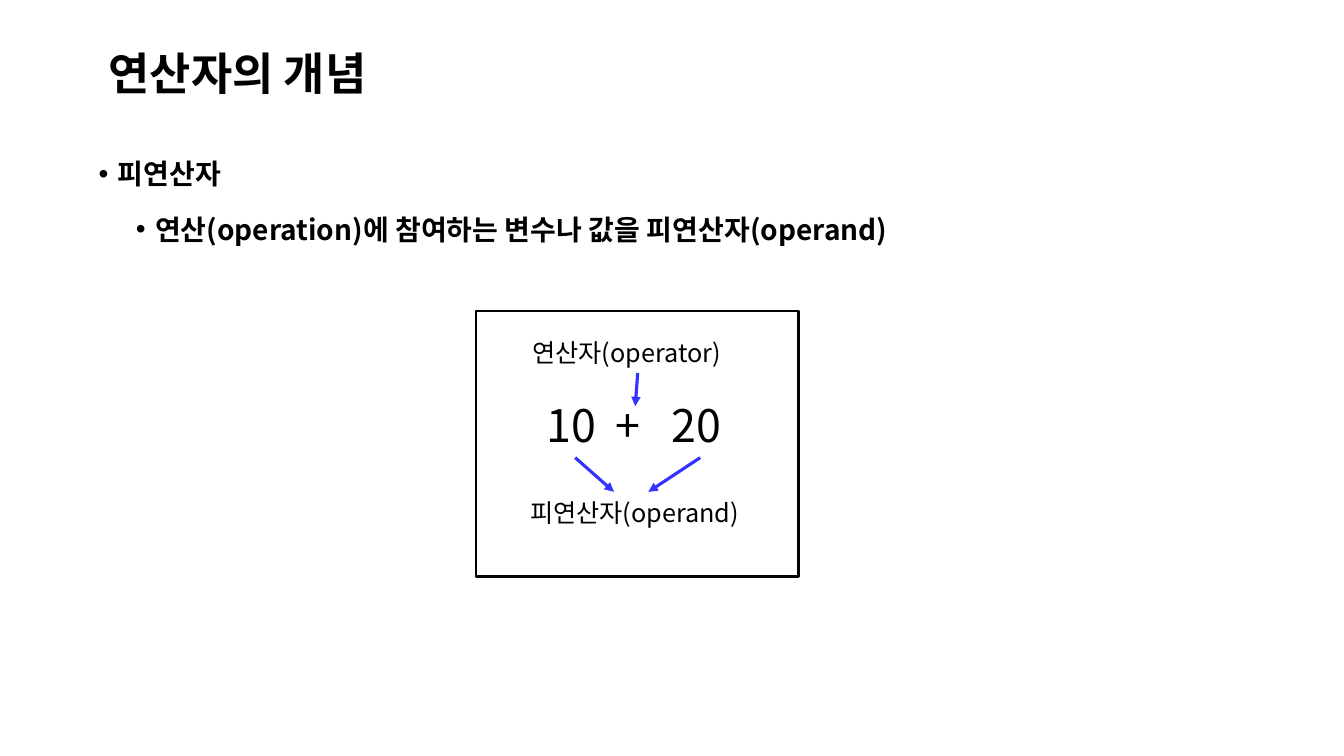
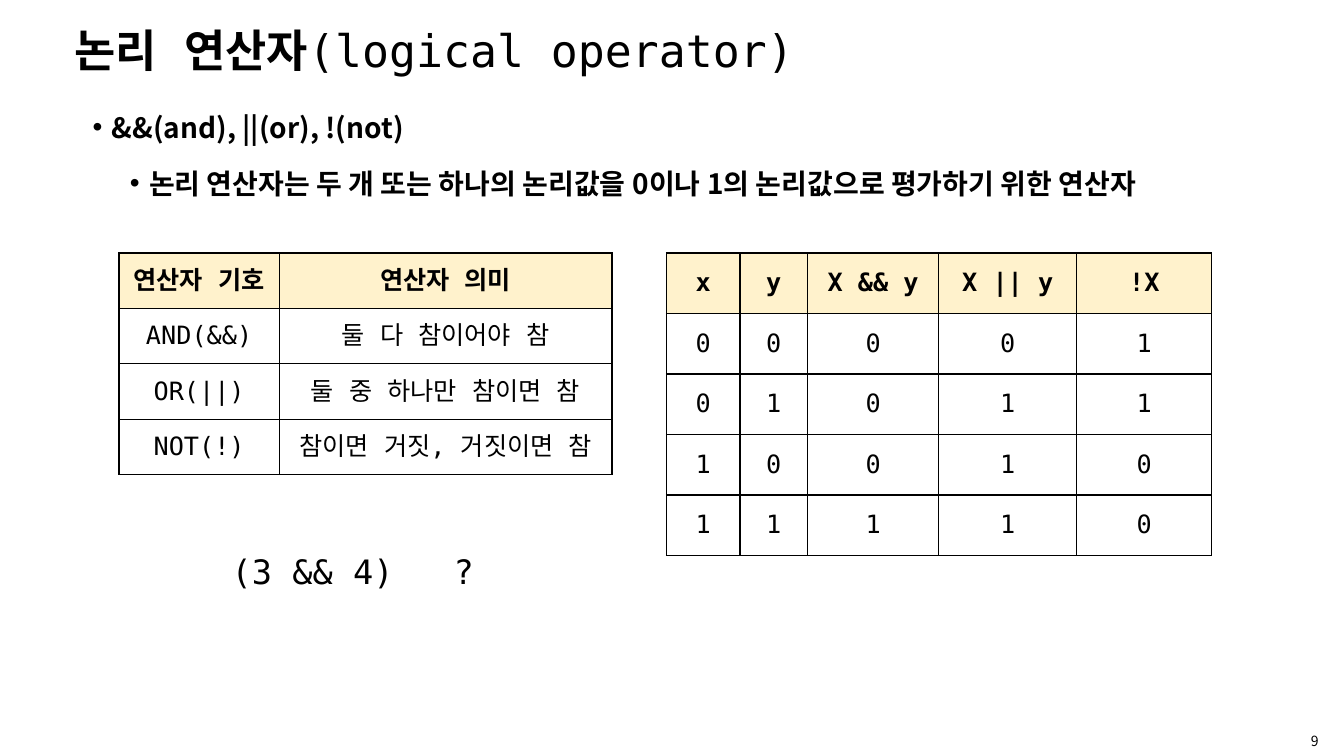
from dataclasses import dataclass

from lxml import etree
from pptx import Presentation
from pptx import util as u
from pptx.dml.color import RGBColor
from pptx.enum import shapes, text
from pptx.oxml import ns

BLACK = RGBColor(0x00, 0x00, 0x00)
ARROW_BLUE = RGBColor(0x33, 0x33, 0xFF)
HEADER_CREAM = RGBColor(0xFF, 0xF2, 0xCC)
SANS = "Noto Sans CJK KR"
SANS_TITLE = "Noto Sans CJK TC"
MONO = "DejaVu Sans Mono"
BULLET_HANGING = 0.19
BULLET_INDENTS = (0.19, 0.56)


@dataclass(frozen=True)
class Box:
    left: float
    top: float
    width: float
    height: float

    def lengths(self) -> list:
        return [u.Inches(v) for v in (self.left, self.top, self.width, self.height)]


@dataclass(frozen=True)
class Label:
    words: str
    box: Box
    size: int


@dataclass(frozen=True)
class Arrow:
    source: str
    end_x: float
    end_y: float


@dataclass(frozen=True)
class Grid:
    left: float
    top: float
    column_widths: tuple
    row_height: float
    rows: tuple


LABELS = (
    Label("10", Box(5.32, 3.9, 0.77, 0.64), 32),
    Label("20", Box(6.56, 3.9, 0.77, 0.64), 32),
    Label("+", Box(6.01, 3.9, 0.59, 0.64), 32),
    Label("피연산자(operand)", Box(5.16, 4.88, 2.53, 0.4), 18),
    Label("연산자(operator)", Box(5.18, 3.3, 2.29, 0.4), 18),
)
ARROWS = (
    Arrow("연산자(operator)", 6.3, 4.03),
    Arrow("10", 6.09, 4.88),
    Arrow("20", 6.43, 4.88),
)
MEANINGS = Grid(1.18, 2.51, (1.59, 3.3), 0.55, (
    ("연산자 기호", "연산자 의미"),
    ("AND(&&)", "둘 다 참이어야 참"),
    ("OR(||)", "둘 중 하나만 참이면 참"),
    ("NOT(!)", "참이면 거짓, 거짓이면 참"),
))
TRUTH_TABLE = Grid(6.61, 2.51, (0.73, 0.67, 1.3, 1.37, 1.34), 0.6, (
    ("x", "y", "X && y", "X || y", "!X"),
    *(tuple(str(int(value)) for value in (x, y, x and y, x or y, not x))
      for x in (0, 1) for y in (0, 1)),
))


def add_element(parent, tag: str, **attributes: str):
    return etree.SubElement(parent, ns.qn(tag), attributes)


def style_paragraph(paragraph, size: int, name: str = SANS, bold: bool | None = False) -> None:
    font = paragraph.font
    font.size = u.Pt(size)
    font.bold = bold
    font.color.rgb = BLACK
    font.name = name
    properties = paragraph._p.get_or_add_pPr().find(ns.qn("a:defRPr"))
    add_element(properties, "a:ea", typeface=name)


def add_text_box(slide, box: Box, wrap: bool = True):
    shape = slide.shapes.add_textbox(*box.lengths())
    shape.text_frame.word_wrap = wrap
    return shape


def add_title(slide, box: Box, bold_words: str, plain_words: str = "", name: str = MONO) -> None:
    frame = add_text_box(slide, box).text_frame
    frame.vertical_anchor = text.MSO_ANCHOR.MIDDLE
    paragraph = frame.paragraphs[0]
    paragraph.line_spacing = 0.9
    for words, bold in ((bold_words, True), (plain_words, False)):
        if words:
            run = paragraph.add_run()
            run.text = words
            run.font.bold = bold
    style_paragraph(paragraph, 32, name, None)


def add_bullets(slide, box: Box, lines: tuple) -> None:
    frame = add_text_box(slide, box).text_frame
    for level, words in enumerate(lines):
        paragraph = frame.add_paragraph() if level else frame.paragraphs[0]
        paragraph.text = words
        paragraph.level = level
        paragraph.line_spacing = 1.5
        if level:
            paragraph.space_before = u.Pt(3.8)
        properties = paragraph._p.get_or_add_pPr()
        properties.set("marL", str(u.Inches(BULLET_INDENTS[level])))
        properties.set("indent", str(-u.Inches(BULLET_HANGING)))
        add_element(properties, "a:buFont", typeface="Arial")
        add_element(properties, "a:buChar", char="•")
        style_paragraph(paragraph, 20, bold=True)


def add_label(slide, label: Label):
    shape = add_text_box(slide, label.box, wrap=False)
    frame = shape.text_frame
    frame.auto_size = text.MSO_AUTO_SIZE.SHAPE_TO_FIT_TEXT
    frame.text = label.words
    style_paragraph(frame.paragraphs[0], label.size)
    return shape


def add_arrow(slide, arrow: Arrow, source) -> None:
    end = u.Inches(arrow.end_x), u.Inches(arrow.end_y)
    connector = slide.shapes.add_connector(shapes.MSO_CONNECTOR.STRAIGHT, *end, *end)
    connector.begin_connect(source, 2)
    connector.line.color.rgb = ARROW_BLUE
    connector.line.width = u.Pt(2.25)
    add_element(connector.line._get_or_add_ln(), "a:tailEnd", type="triangle")
    add_element(connector._element.spPr, "a:effectLst")


def add_frame(slide, box: Box) -> None:
    shape = slide.shapes.add_shape(shapes.MSO_SHAPE.RECTANGLE, *box.lengths())
    shape.shadow.inherit = False
    shape.fill.background()
    shape.line.color.rgb = BLACK
    shape.line.width = u.Pt(1.5)


def add_borders(cell) -> None:
    properties = cell._tc.get_or_add_tcPr()
    for side in ("a:lnL", "a:lnR", "a:lnT", "a:lnB"):
        line = add_element(properties, side, w=str(u.Pt(1)))
        add_element(add_element(line, "a:solidFill"), "a:srgbClr", val=str(BLACK))


def add_grid(slide, grid: Grid) -> None:
    box = Box(grid.left, grid.top, sum(grid.column_widths), grid.row_height * len(grid.rows))
    table = slide.shapes.add_table(
        len(grid.rows), len(grid.column_widths), *box.lengths()).table
    table.first_row = False
    table.horz_banding = False
    for column, width in zip(table.columns, grid.column_widths):
        column.width = u.Inches(width)
    for row_index, row in enumerate(grid.rows):
        table.rows[row_index].height = u.Inches(grid.row_height)
        for column_index, words in enumerate(row):
            cell = table.cell(row_index, column_index)
            is_header = row_index == 0
            cell.text = words
            cell.vertical_anchor = text.MSO_ANCHOR.MIDDLE
            add_borders(cell)
            if is_header:
                cell.fill.solid()
                cell.fill.fore_color.rgb = HEADER_CREAM
            else:
                cell.fill.background()
            paragraph = cell.text_frame.paragraphs[0]
            paragraph.alignment = text.PP_ALIGN.CENTER
            style_paragraph(paragraph, 18, MONO, is_header)


def add_question(slide) -> None:
    frame = add_text_box(slide, Box(2.2, 5.42, 2.8, 0.5)).text_frame
    paragraph = frame.paragraphs[0]
    paragraph.text = "(3 && 4)\t?"
    tabs = add_element(paragraph._p.get_or_add_pPr(), "a:tabLst")
    add_element(tabs, "a:tab", pos=str(u.Inches(2.2)), algn="l")
    style_paragraph(paragraph, 24, MONO)


def add_page_number(slide, number: str) -> None:
    frame = add_text_box(slide, Box(12.78, 7.23, 0.52, 0.25)).text_frame
    frame.vertical_anchor = text.MSO_ANCHOR.MIDDLE
    paragraph = frame.paragraphs[0]
    paragraph.text = number
    paragraph.alignment = text.PP_ALIGN.CENTER
    style_paragraph(paragraph, 10)


def build_concept_slide(slide) -> None:
    add_title(slide, Box(0.98, 0.35, 9.12, 0.8), "연산자의 개념", name=SANS_TITLE)
    add_bullets(slide, Box(0.88, 1.34, 11.13, 3.2), (
        "피연산자",
        "연산(operation)에 참여하는 변수나 값을 피연산자(operand)",
    ))
    label_shapes = {label.words: add_label(slide, label) for label in LABELS}
    for arrow in ARROWS:
        add_arrow(slide, arrow, label_shapes[arrow.source])
    add_frame(slide, Box(4.72, 3.09, 3.2, 2.63))


def build_logic_slide(slide) -> None:
    add_bullets(slide, Box(0.82, 0.88, 12.29, 1.9), (
        "&&(and), ||(or), !(not)",
        "논리 연산자는 두 개 또는 하나의 논리값을 0이나 1의 논리값으로 평가하기 위한 연산자",
    ))
    add_title(slide, Box(0.64, 0.17, 7.52, 0.71), "논리 연산자", "(logical operator)")
    add_page_number(slide, "9")
    add_grid(slide, MEANINGS)
    add_grid(slide, TRUTH_TABLE)
    add_question(slide)


def main() -> None:
    presentation = Presentation()
    presentation.slide_width = u.Inches(13.33)
    presentation.slide_height = u.Inches(7.5)
    blank_layout = presentation.slide_layouts[6]
    for build in (build_concept_slide, build_logic_slide):
        build(presentation.slides.add_slide(blank_layout))
    presentation.save("out.pptx")


if __name__ == "__main__":
    main()
